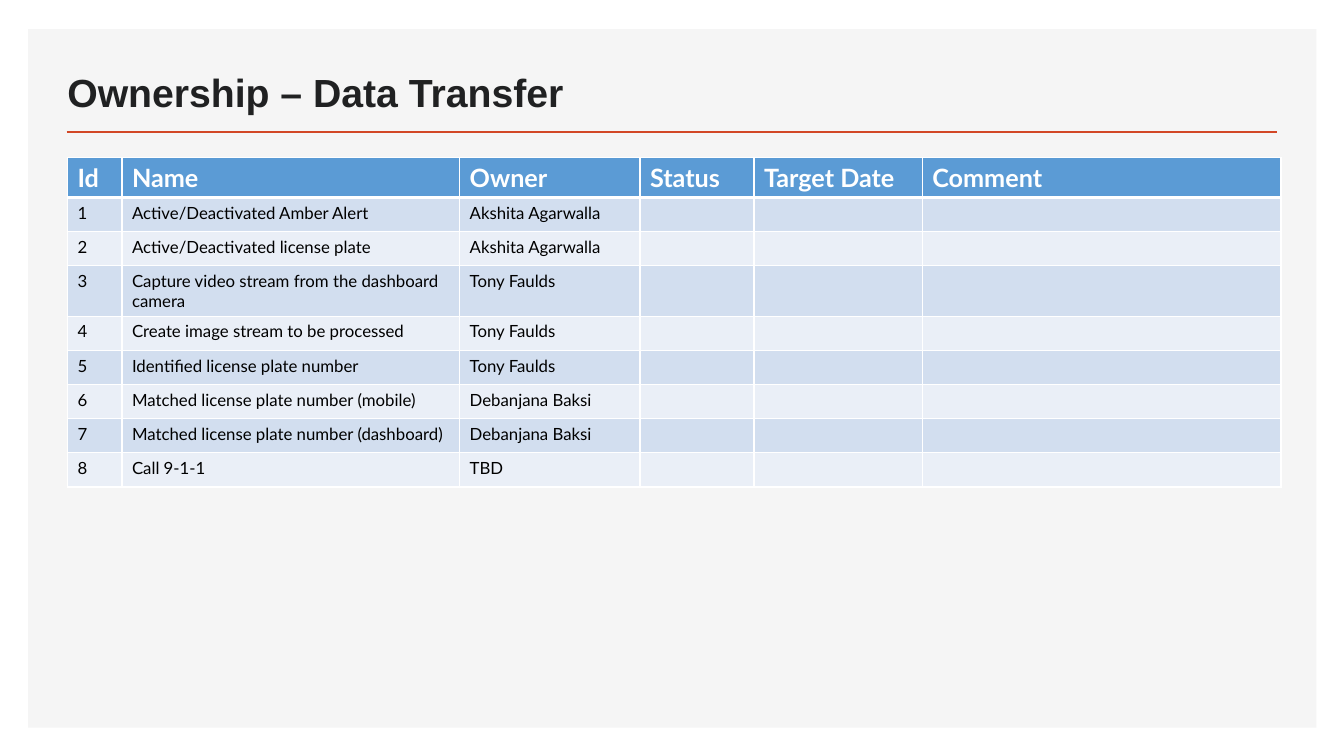
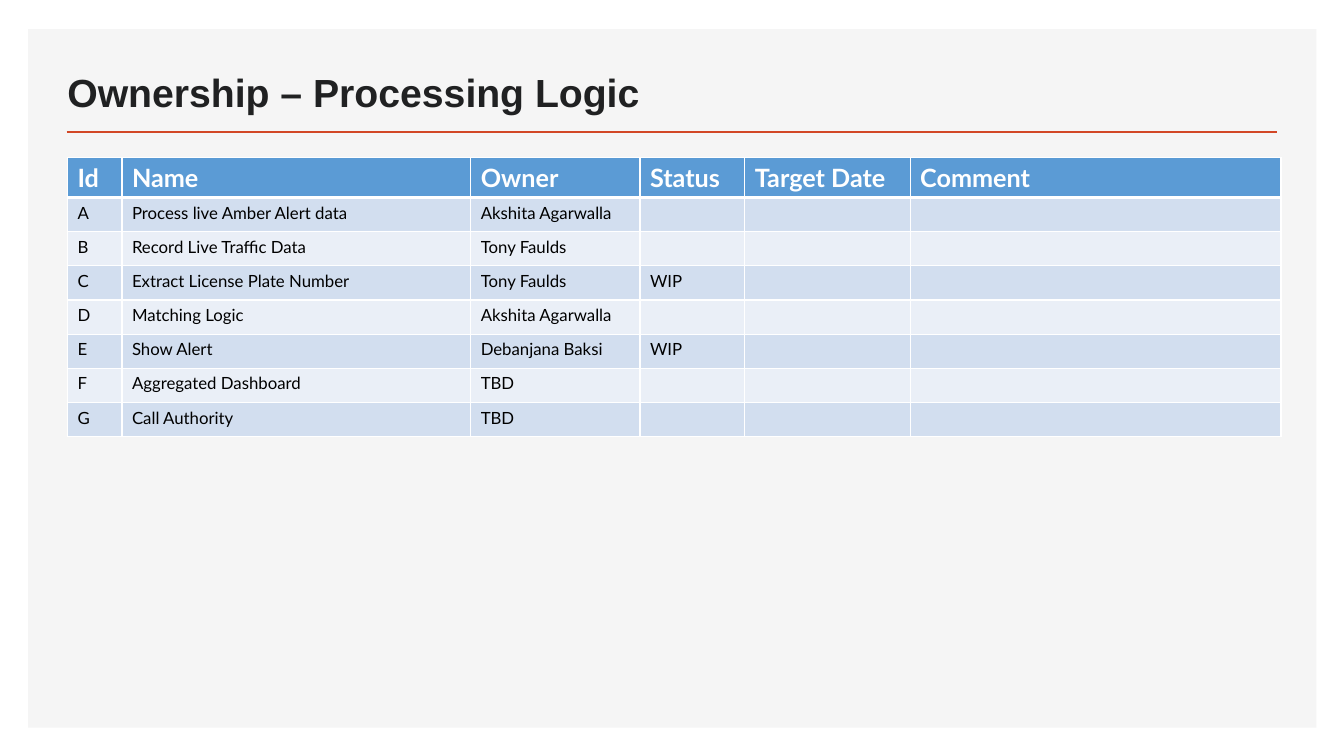
from lxml.etree import SubElement
from pptx import Presentation
from pptx.dml.color import RGBColor
from pptx.enum.shapes import MSO_CONNECTOR, MSO_SHAPE
from pptx.enum.text import MSO_ANCHOR
from pptx.oxml.ns import qn
from pptx.util import Pt

# Shared style
WHITE, PANEL, ACCENT, TITLE, TEXT = "FFFFFF", "F5F5F5", "D24726", "202122", "000000"
HEADER, BANDS = "5B9BD5", ("D2DEEF", "EAEFF7")
HEADINGS = ("Id", "Name", "Owner", "Status", "Target Date", "Comment")
HEADER_HEIGHT, ROW_HEIGHT = 28.8, 24.4


def color(value):
    return RGBColor.from_string(value)


def write(paragraph, text, *, size, font, fill, bold=False):
    """Write one formatted run; an empty paragraph only gets its text size."""
    if not text:
        end = SubElement(paragraph._p, qn("a:endParaRPr"), sz=str(size * 100))
        SubElement(end, qn("a:latin"), typeface=font)
        return
    run = paragraph.add_run()
    run.text = text
    run.font.size = Pt(size)
    run.font.name = font
    run.font.bold = bold
    run.font.color.rgb = color(fill)


def set_borders(cell, top, bottom):
    properties = cell._tc.get_or_add_tcPr()
    for side, width in (("L", 1), ("R", 1), ("T", top), ("B", bottom)):
        line = SubElement(properties, qn(f"a:ln{side}"), w=str(Pt(width)))
        SubElement(SubElement(line, qn("a:solidFill")), qn("a:srgbClr"), val=WHITE)


class Deck:
    def __init__(self):
        self.presentation = Presentation()
        self.presentation.slide_width = Pt(960)
        self.presentation.slide_height = Pt(540)
        self.slide = None

    def add_slide(self, title):
        self.slide = self.presentation.slides.add_slide(self.presentation.slide_layouts[6])
        self.add_panel(20.16, 20.88, 920.16, 498.96)
        self.add_rule(47.52, 912.24, 94.32)
        self.add_title(title, 41.04, 35.28, 541.44, 50.4)

    def add_panel(self, left, top, width, height):
        panel = self.slide.shapes.add_shape(
            MSO_SHAPE.RECTANGLE, Pt(left), Pt(top), Pt(width), Pt(height))
        panel.shadow.inherit = False
        panel.fill.solid()
        panel.fill.fore_color.rgb = color(PANEL)
        panel.line.fill.background()

    def add_rule(self, start, end, top):
        rule = self.slide.shapes.add_connector(
            MSO_CONNECTOR.STRAIGHT, Pt(start), Pt(top), Pt(end), Pt(top))
        rule.line.color.rgb = color(ACCENT)
        rule.line.width = Pt(2)
        SubElement(rule._element.spPr, qn("a:effectLst"))

    def add_title(self, text, left, top, width, height):
        box = self.slide.shapes.add_textbox(Pt(left), Pt(top), Pt(width), Pt(height))
        frame = box.text_frame
        frame.word_wrap = True
        frame.vertical_anchor = MSO_ANCHOR.BOTTOM
        write(frame.paragraphs[0], text, size=28, font="Arial", fill=TITLE, bold=True)

    def add_table(self, widths, rows):
        shape = self.slide.shapes.add_table(
            len(rows) + 1, len(widths), Pt(48.24), Pt(112.32), Pt(sum(widths)),
            Pt(HEADER_HEIGHT + ROW_HEIGHT * len(rows)))
        table = shape.table
        table.first_row = table.horz_banding = False
        for column, width in zip(table.columns, widths):
            column.width = Pt(width)
        for index, values in enumerate([HEADINGS, *rows]):
            table.rows[index].height = Pt(ROW_HEIGHT if index else HEADER_HEIGHT)
            self.fill_row(table, index, values)

    def fill_row(self, table, index, values):
        header = index == 0
        for column in range(len(table.columns)):
            cell = table.cell(index, column)
            set_borders(cell, top=3 if index == 1 else 1, bottom=3 if header else 1)
            cell.fill.solid()
            cell.fill.fore_color.rgb = color(HEADER if header else BANDS[(index - 1) % 2])
            write(cell.text_frame.paragraphs[0],
                  values[column] if column < len(values) else "",
                  size=18 if header else 12, font="Lato",
                  fill=WHITE if header else TEXT, bold=header)


deck = Deck()

# Data transfer
deck.add_slide("Ownership – Data Transfer")
deck.add_table((38.88, 241.2, 128.88, 81.36, 120.24, 256.32), [
    ("1", "Active/Deactivated Amber Alert", "Akshita Agarwalla"),
    ("2", "Active/Deactivated license plate", "Akshita Agarwalla"),
    ("3", "Capture video stream from the dashboard camera", "Tony Faulds"),
    ("4", "Create image stream to be processed", "Tony Faulds"),
    ("5", "Identified license plate number", "Tony Faulds"),
    ("6", "Matched license plate number (mobile)", "Debanjana Baksi"),
    ("7", "Matched license plate number (dashboard)", "Debanjana Baksi"),
    ("8", "Call 9-1-1", "TBD"),
])

# Processing logic
deck.add_slide("Ownership – Processing Logic")
deck.add_table((38.88, 249.12, 120.96, 74.88, 118.08, 264.96), [
    ("A", "Process live Amber Alert data", "Akshita Agarwalla"),
    ("B", "Record Live Traffic Data", "Tony Faulds"),
    ("C", "Extract License Plate Number", "Tony Faulds", "WIP"),
    ("D", "Matching Logic", "Akshita Agarwalla"),
    ("E", "Show Alert", "Debanjana Baksi", "WIP"),
    ("F", "Aggregated Dashboard", "TBD"),
    ("G", "Call Authority", "TBD"),
])

deck.presentation.save("out.pptx")
